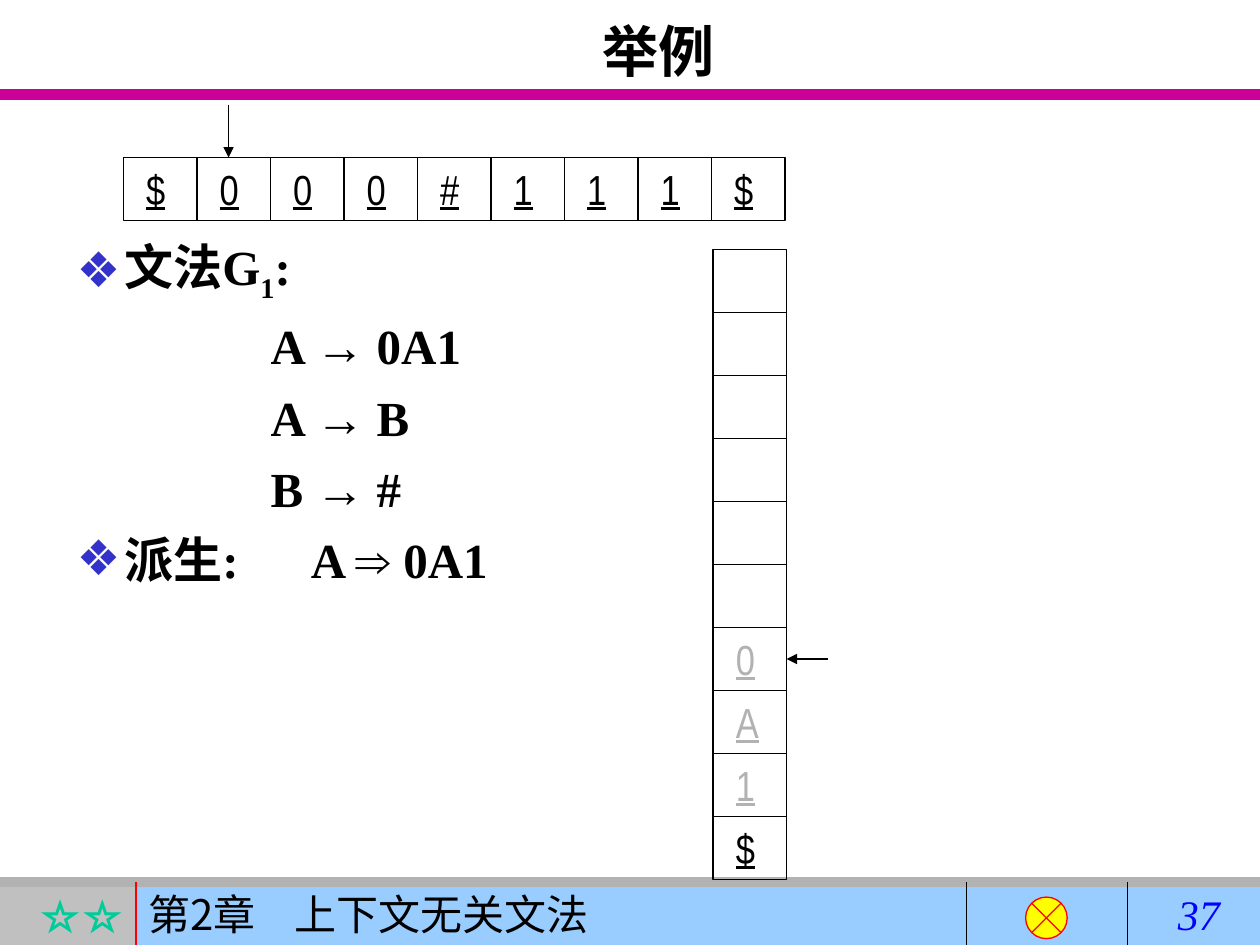
"""Build the slide that traces a grammar on an input tape and a stack."""
import lxml.etree
import pptx
import pptx.dml.color
import pptx.enum.shapes
import pptx.enum.text
import pptx.oxml.ns
import pptx.util

RGB = pptx.dml.color.RGBColor
SHAPE = pptx.enum.shapes.MSO_SHAPE
ALIGN = pptx.enum.text.PP_ALIGN
Inches, Pt, qn = pptx.util.Inches, pptx.util.Pt, pptx.oxml.ns.qn

BLACK = RGB(0, 0, 0)
MAGENTA = RGB(0xCC, 0, 0x99)
SILVER = RGB(0xC0, 0xC0, 0xC0)
GRAY = RGB(0xB2, 0xB2, 0xB2)
SKY = RGB(0x99, 0xCC, 0xFF)
GREEN = RGB(0, 0xCC, 0x99)
RED = RGB(0xFF, 0, 0)
YELLOW = RGB(0xFF, 0xFF, 0)
BLUE = RGB(0, 0, 0xFF)
BULLET = "3333CC"

SERIF, SANS, NARROW, CJK = "Times New Roman", "Arial", "Arial Narrow", "Noto Sans CJK SC"
W, H = 10, 7.5
FOOT_Y, FOOT_H, FOOT_X = 7, 0.5, 1.08
CELL_W, CELL_H = 7 / 12, 0.5
TAPE_X, TAPE_Y = 0.98, 1.25
STACK_X, STACK_Y = 5.66, 1.98
HANG, RULE_X, DERIVE_X = 0.38, 1.54, 1.86

TAPE = "$000#111$"
TAPE_HEAD = 1
STACK = [""] * 6 + ["0", "A", "1", "$"]
STACK_TOP = 6
GRAMMAR = [
    ("bullet", [("文法G", {}), ("1", {"sub": True}), (":", {})]),
    ("rule", [("A ", {}), ("→", {"name": SANS}), (" 0A1", {})]),
    ("rule", [("A ", {}), ("→", {"name": SANS}), (" B", {})]),
    ("rule", [("B ", {}), ("→", {"name": SANS}), (" #", {})]),
    ("bullet", [("派生:\tA ", {}), ("⇒", {"name": SANS}), (" 0A1", {})]),
]
FOOT_LINES = [(FOOT_X, RED), (7.67, BLACK), (8.95, BLACK)]


def sub(parent, tag, **attrs):
    return lxml.etree.SubElement(parent, qn(tag), attrs)


def add_run(p, text, color=BLACK, **fmt):
    r = p.add_run()
    r.text = text
    r.font.color.rgb = color
    rPr = r._r.get_or_add_rPr()
    if fmt.pop("sub", False):
        rPr.set("baseline", "-25000")
    for key, value in fmt.items():
        setattr(r.font, key, value)
    if any("\u4e00" <= ch <= "\u9fff" for ch in text):
        sub(rPr, "a:ea", typeface=CJK)


def add_tab(p, x):
    sub(sub(p._p.get_or_add_pPr(), "a:tabLst"), "a:tab", pos=str(Inches(x)), algn="l")


def add_text(s, x, y, w, h):
    tf = s.shapes.add_textbox(*map(Inches, (x, y, w, h))).text_frame
    tf.word_wrap = True
    return tf


def add_box(s, kind, x, y, w, h, fill=None, line=None):
    sp = s.shapes.add_shape(kind, *map(Inches, (x, y, w, h)))
    sp.shadow.inherit = False
    if fill is None:
        sp.fill.background()
    else:
        sp.fill.solid()
        sp.fill.fore_color.rgb = fill
    if line is None:
        sp.line.fill.background()
    else:
        sp.line.color.rgb = line
        sp.line.width = Pt(0.75)
    tf = sp.text_frame
    tf.vertical_anchor = pptx.enum.text.MSO_ANCHOR.TOP
    tf.paragraphs[0].alignment = ALIGN.LEFT
    return tf


def add_line(s, x1, y1, x2, y2, color=BLACK, width=0.75, arrow=False):
    kind = pptx.enum.shapes.MSO_CONNECTOR.STRAIGHT
    c = s.shapes.add_connector(kind, *map(Inches, (x1, y1, x2, y2)))
    c.line.color.rgb = color
    c.line.width = Pt(width)
    if arrow:
        sub(c.line._get_or_add_ln(), "a:tailEnd", type="triangle")
    sub(c._element.spPr, "a:effectLst")


def add_cell(s, x, y, text, color):
    tf = add_box(s, SHAPE.RECTANGLE, x, y, CELL_W, CELL_H, line=BLACK)
    tf.margin_left, tf.margin_right = Inches(0.18), 0
    if text:
        add_run(tf.paragraphs[0], text, color, name=NARROW, size=Pt(24), underline=True)


def add_frame(s):
    add_line(s, 0, 0.75, W, 0.75, MAGENTA, 6)
    tf = add_box(s, SHAPE.RECTANGLE, 0, FOOT_Y, FOOT_X, FOOT_H, SILVER)
    tf.paragraphs[0].alignment = ALIGN.RIGHT
    add_run(tf.paragraphs[0], "☆☆", GREEN, name=SERIF, size=Pt(24), bold=True)
    tf = add_box(s, SHAPE.RECTANGLE, FOOT_X, FOOT_Y, W - FOOT_X, FOOT_H, SKY)
    add_tab(tf.paragraphs[0], 1.16)
    add_run(tf.paragraphs[0], "第2章\t上下文无关文法", name=CJK, size=Pt(24))
    add_line(s, 0, FOOT_Y, W, FOOT_Y, GRAY, 6)
    for x, color in FOOT_LINES:
        add_line(s, x, FOOT_Y, x, H, color)
    add_box(s, SHAPE.FLOWCHART_SUMMING_JUNCTION, 8.14, 7.12, 0.33, 0.33, YELLOW, RED)
    p = add_text(s, 9.25, FOOT_Y, 0.75, FOOT_H).paragraphs[0]
    add_run(p, "37", BLUE, name=SERIF, size=Pt(24), italic=True)


def add_grammar(s):
    tf = add_text(s, 0.51, 1.83, 4.99, 5.08)
    for i, (kind, runs) in enumerate(GRAMMAR):
        p = tf.add_paragraph() if i else tf.paragraphs[0]
        pPr = p._p.get_or_add_pPr()
        if kind == "bullet":
            pPr.set("marL", str(Inches(HANG)))
            pPr.set("indent", str(-Inches(HANG)))
            sub(sub(pPr, "a:buClr"), "a:srgbClr", val=BULLET)
            sub(pPr, "a:buFont", typeface=SANS)
            sub(pPr, "a:buChar", char="❖")
            add_tab(p, DERIVE_X)
        else:
            pPr.set("marL", str(Inches(RULE_X)))
            pPr.set("indent", "0")
        if i:
            p.space_before = Pt(7)
        for text, fmt in runs:
            add_run(p, text, **{"name": SERIF, "size": Pt(28), "bold": True, **fmt})


def main():
    prs = pptx.Presentation()
    prs.slide_width, prs.slide_height = Inches(W), Inches(H)
    s = prs.slides.add_slide(prs.slide_layouts[6])
    add_frame(s)
    p = add_text(s, 0.98, 0.08, 8.5, 1.25).paragraphs[0]
    p.alignment = ALIGN.CENTER
    add_run(p, "举例", name=SERIF, size=Pt(32), bold=True)
    add_grammar(s)

    for i, symbol in enumerate(TAPE):
        add_cell(s, TAPE_X + i * CELL_W, TAPE_Y, symbol, BLACK)
    head_x = TAPE_X + (TAPE_HEAD + 0.43) * CELL_W
    add_line(s, head_x, 0.83, head_x, TAPE_Y, arrow=True)

    for i, symbol in enumerate(STACK):
        color = BLACK if symbol == "$" else GRAY
        add_cell(s, STACK_X, STACK_Y + i * CELL_H, symbol, color)
    top_y = STACK_Y + (STACK_TOP + 0.5) * CELL_H
    add_line(s, STACK_X + CELL_W + 0.33, top_y, STACK_X + CELL_W, top_y, arrow=True)
    prs.save("out.pptx")


if __name__ == "__main__":
    main()
